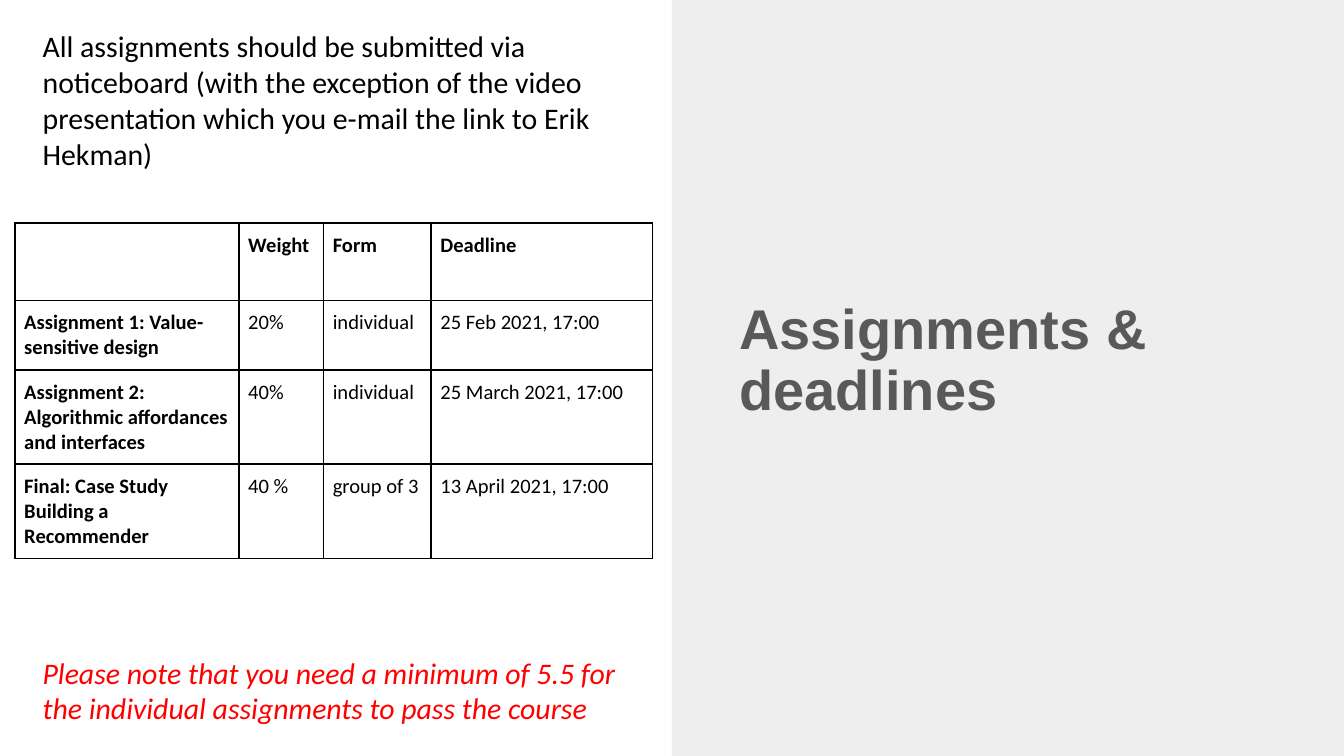
from lxml.etree import SubElement as Sub
from pptx import Presentation
from pptx.dml.color import RGBColor as RGB
from pptx.enum.shapes import MSO_SHAPE as Shape
from pptx.enum.text import MSO_ANCHOR as Anchor, PP_ALIGN as Align
from pptx.oxml.ns import qn
from pptx.util import Pt

BLACK = RGB(0, 0, 0)
RED = RGB(0xFF, 0, 0)
GREY = RGB(0x59, 0x59, 0x59)
PALE = RGB(0xEE, 0xEE, 0xEE)


class Deck:
    body = "Calibri"
    head = "Arial"
    pad = Pt(5)

    def __init__(self, wide, high):
        self.prs = Presentation()
        self.prs.slide_width, self.prs.slide_height = Pt(wide), Pt(high)
        self.slide = self.prs.slides.add_slide(self.prs.slide_layouts[6])
        self.items = self.slide.shapes

    def run(self, para, text, size, color=BLACK, font=None, bold=False, slant=False):
        run = para.add_run()
        run.text = text
        style = run.font
        style.name = font or self.body
        style.size, style.bold, style.italic = Pt(size), bold, slant
        style.color.rgb = color

    def panel(self, x, y, w, h, color):
        box = self.items.add_shape(Shape.RECTANGLE, Pt(x), Pt(y), Pt(w), Pt(h))
        box.shadow.inherit = False
        box.fill.solid()
        box.fill.fore_color.rgb = color
        box.line.fill.background()

    def text(self, x, y, w, h, words, size, anchor=Anchor.TOP, space=None, **style):
        frame = self.items.add_textbox(Pt(x), Pt(y), Pt(w), Pt(h)).text_frame
        frame.word_wrap = True
        frame.vertical_anchor = anchor
        para = frame.paragraphs[0]
        para.line_spacing = space
        self.run(para, words, size, **style)

    def border(self, cell):
        props = cell._tc.get_or_add_tcPr()
        for side in ("lnL", "lnR", "lnT", "lnB"):
            line = Sub(props, qn("a:" + side), w=str(Pt(1)))
            fill = Sub(line, qn("a:solidFill"))
            Sub(fill, qn("a:srgbClr"), val=str(BLACK))

    def table(self, x, y, cols, highs, rows, size):
        frame = self.items.add_table(len(rows), len(cols), Pt(x), Pt(y),
                                     Pt(sum(cols)), Pt(sum(highs)))
        grid = frame.table
        grid.first_row = grid.horz_banding = False
        for col, wide in zip(grid.columns, cols):
            col.width = Pt(wide)
        for r, (row, high) in enumerate(zip(rows, highs)):
            grid.rows[r].height = Pt(high)
            for c, words in enumerate(row):
                cell = grid.cell(r, c)
                self.border(cell)
                cell.fill.background()
                cell.margin_left = cell.margin_right = self.pad
                cell.margin_top = cell.margin_bottom = self.pad
                para = cell.text_frame.paragraphs[0]
                if r and c == len(cols) - 1:
                    para.alignment = Align.JUSTIFY
                if words:
                    self.run(para, words, size, bold=r == 0 or c == 0)


deck = Deck(720, 405)

# Right half: title on a pale panel
deck.panel(360, 0, 360, 405, PALE)
deck.text(389, 57, 302, 274, "Assignments & deadlines", 30, Anchor.MIDDLE, 0.9,
          color=GREY, font=deck.head, bold=True)

# Left half: how to submit
deck.text(15.8, 11.4, 344, 86,
          "All assignments should be submitted via noticeboard (with the exception "
          "of the video presentation which you e-mail the link to Erik Hekman)", 16)

# Weights and deadlines
deck.table(8, 119.5, (120, 45.3, 57.7, 118.6), (41.5, 37.2, 50.5, 50.5), (
    ("", "Weight", "Form", "Deadline"),
    ("Assignment 1: Value-sensitive design", "20%", "individual", "25 Feb 2021, 17:00"),
    ("Assignment 2: Algorithmic affordances and interfaces", "40%", "individual",
     "25 March 2021, 17:00"),
    ("Final: Case Study Building a Recommender", "40 %", "group of 3",
     "13 April 2021, 17:00"),
), 11)

# Pass rule
deck.text(15.8, 347, 344, 46,
          "Please note that you need a minimum of 5.5 for the individual "
          "assignments to pass the course", 16, color=RED, slant=True)

deck.prs.save("out.pptx")
